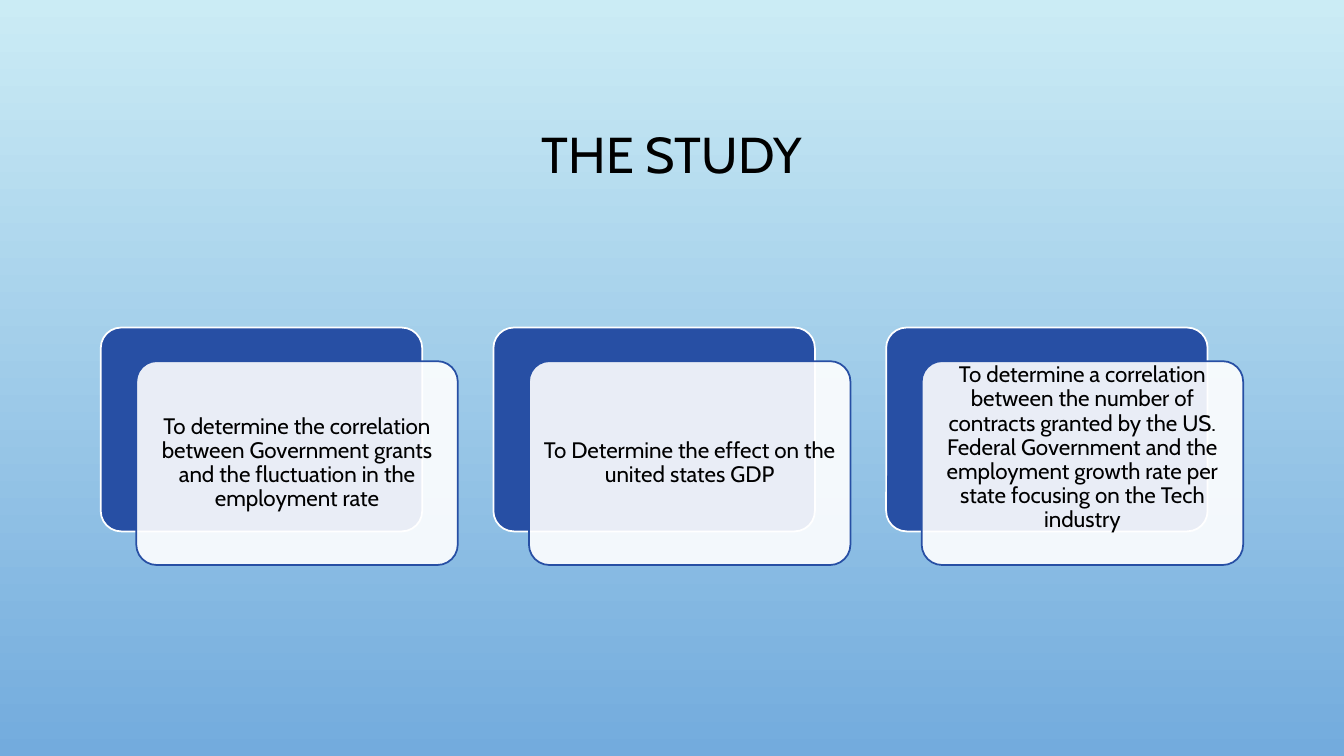
from lxml import etree
from pptx import Presentation
from pptx import util as u
from pptx.dml.color import RGBColor
from pptx.enum import shapes, text
from pptx.oxml import ns

COLORS = {
    "sky": "CBECF5",
    "horizon": "73ABDD",
    "blue": "274FA4",
    "white": "FFFFFF",
    "black": "000000",
}
FONT = "Cabin"
AIMS = [
    ["To determine the correlation between Government grants "
     "and the fluctuation in the employment rate"],
    ["To Determine the effect on the united states GDP"],
    ["To determine a correlation between the number of contracts granted by "
     "the US. Federal Government and the employment growth rate per state "
     "focusing on the Tech industry", ""],
]
LEFT, TOP, STEP = 72, 234, 280.5
WIDTH, HEIGHT = 229.6, 145.6
SHIFT_X, SHIFT_Y = 25.4, 24


def write_centred(frame, lines, size):
    """Fill the frame with one centred paragraph, broken between lines."""
    frame.word_wrap = True
    frame.vertical_anchor = text.MSO_ANCHOR.MIDDLE
    para = frame.paragraphs[0]
    para.alignment = text.PP_ALIGN.CENTER
    para.line_spacing = 0.9
    for number, line in enumerate(lines):
        if number:
            para.add_line_break()
        span = para.add_run()
        span.text = line
        span.font.name = FONT
        span.font.size = u.Pt(size)
        span.font.color.rgb = RGBColor.from_string(COLORS["black"])


def add_card(left, top, fill, line):
    card = slide.shapes.add_shape(
        shapes.MSO_SHAPE.ROUNDED_RECTANGLE,
        u.Pt(left), u.Pt(top), u.Pt(WIDTH), u.Pt(HEIGHT))
    card.adjustments[0] = 0.1
    card.shadow.inherit = False
    card.fill.solid()
    card.fill.fore_color.rgb = RGBColor.from_string(COLORS[fill])
    card.line.color.rgb = RGBColor.from_string(COLORS[line])
    card.line.width = u.Pt(1.25)
    return card


deck = Presentation()
deck.slide_width = u.Pt(960)
deck.slide_height = u.Pt(540)
slide = deck.slides.add_slide(deck.slide_layouts[5])

backdrop = slide.background.fill
backdrop.gradient()
backdrop.gradient_angle = 270
for stop, name in zip(backdrop.gradient_stops, ("sky", "horizon")):
    stop.color.rgb = RGBColor.from_string(COLORS[name])

title = slide.shapes.title
title.left, title.top = u.Pt(72), u.Pt(49)
title.width, title.height = u.Pt(816), u.Pt(126)
write_centred(title.text_frame, ["THE STUDY"], 36)

for column, lines in enumerate(AIMS):
    left = LEFT + column * STEP
    add_card(left, TOP, "blue", "white")
    front = add_card(left + SHIFT_X, TOP + SHIFT_Y, "white", "blue")
    fill_color = front.fill._xPr.find(ns.qn("a:solidFill"))[0]
    etree.SubElement(fill_color, ns.qn("a:alpha"), val="90000")

    frame = front.text_frame
    frame.margin_left = frame.margin_right = u.Pt(5)
    frame.margin_top = frame.margin_bottom = u.Pt(5)
    write_centred(frame, lines, 16)

deck.save("out.pptx")
